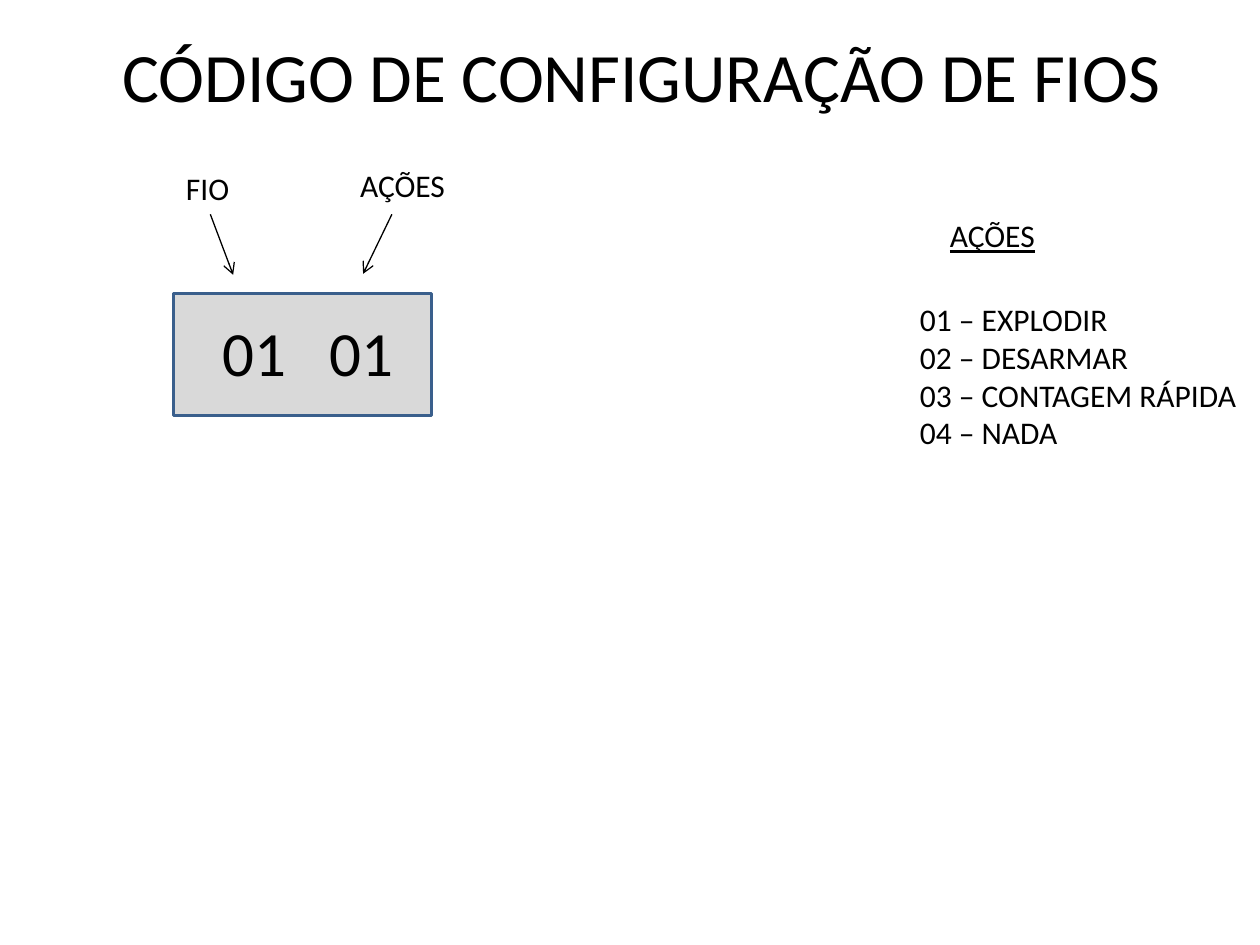
from dataclasses import dataclass
from lxml.etree import SubElement
from pptx import Presentation
from pptx.dml.color import RGBColor
from pptx.enum.shapes import MSO_CONNECTOR, MSO_SHAPE
from pptx.enum.text import MSO_ANCHOR, MSO_AUTO_SIZE, PP_ALIGN
from pptx.oxml.ns import qn
from pptx.util import Cm, Pt


@dataclass(frozen=True)
class Theme:
    font: str = "Calibri"
    ink: str = "000000"
    panel: str = "D9D9D9"
    edge: str = "3A5F8C"
    title: float = 39.6
    code: float = 36
    body: float = 18


class Page:
    def __init__(self, deck, theme):
        self.theme = theme
        self.slide = deck.slides.add_slide(deck.slide_layouts[1])

    def place(self, shape, box):
        shape.left, shape.top, shape.width, shape.height = map(Cm, box)

    def run(self, para, text, size, under=False):
        run = para.add_run()
        run.text = text
        font = run.font
        font.name, font.size = self.theme.font, Pt(size)
        font.color.rgb = RGBColor.from_string(self.theme.ink)
        if under:
            font.underline = True

    def title(self, text, box):
        shape = self.slide.shapes.title
        self.place(shape, box)
        frame = shape.text_frame
        frame.auto_size = MSO_AUTO_SIZE.NONE
        frame.vertical_anchor = MSO_ANCHOR.MIDDLE
        para = frame.paragraphs[0]
        para.alignment = PP_ALIGN.CENTER
        self.run(para, text, self.theme.title)

    def list(self, items, box):
        shape = self.slide.placeholders[1]
        self.place(shape, box)
        frame = shape.text_frame
        frame.word_wrap = False
        frame.auto_size = MSO_AUTO_SIZE.SHAPE_TO_FIT_TEXT
        for i, item in enumerate(items):
            para = frame.add_paragraph() if i else frame.paragraphs[0]
            para.space_before = Pt(0)
            props = para._p.get_or_add_pPr()
            props.set("marL", "0")
            props.set("indent", "0")
            SubElement(props, qn("a:buNone"))
            self.run(para, item, self.theme.body)

    def label(self, text, box, size, under=False):
        shape = self.slide.shapes.add_textbox(*map(Cm, box))
        frame = shape.text_frame
        frame.word_wrap = False
        frame.auto_size = MSO_AUTO_SIZE.SHAPE_TO_FIT_TEXT
        self.run(frame.paragraphs[0], text, size, under)

    def panel(self, box):
        shape = self.slide.shapes.add_shape(MSO_SHAPE.RECTANGLE, *map(Cm, box))
        shape.shadow.inherit = False
        shape.fill.solid()
        shape.fill.fore_color.rgb = RGBColor.from_string(self.theme.panel)
        shape.line.color.rgb = RGBColor.from_string(self.theme.edge)
        shape.line.width = Pt(2)

    def arrow(self, ends):
        line = self.slide.shapes.add_connector(MSO_CONNECTOR.STRAIGHT, *map(Cm, ends))
        line.line.color.rgb = RGBColor.from_string(self.theme.ink)
        line.line.width = Pt(0.75)
        props = line._element.spPr
        SubElement(props.find(qn("a:ln")), qn("a:tailEnd"), type="arrow")
        SubElement(props, qn("a:effectLst"))


deck = Presentation()
deck.slide_width, deck.slide_height = Cm(25.4), Cm(19.05)
theme = Theme()
page = Page(deck, theme)

page.title("CÓDIGO DE CONFIGURAÇÃO DE FIOS", (1.5, 0.74, 22.86, 1.55))
page.panel((3.5, 5.92, 5.2, 2.46))
for left in (4.24, 6.4):
    page.label("01", (left, 6.2, 1.8, 1.63), theme.code)
for ends in ((4.24, 4.32, 4.7, 5.54), (7.9, 4.32, 7.32, 5.52)):
    page.arrow(ends)
for text, left, top, width, under in (
    ("FIO", 3.5, 3.28, 1.4, False),
    ("AÇÕES", 7.01, 3.22, 2.24, False),
    ("AÇÕES", 18.9, 4.24, 2.24, True),
):
    page.label(text, (left, top, width, 1.02), theme.body, under)
page.list(
    ("01 – EXPLODIR", "02 – DESARMAR", "03 – CONTAGEM RÁPIDA", "04 – NADA"),
    (18.29, 5.92, 6.96, 3.33),
)

deck.save("out.pptx")
